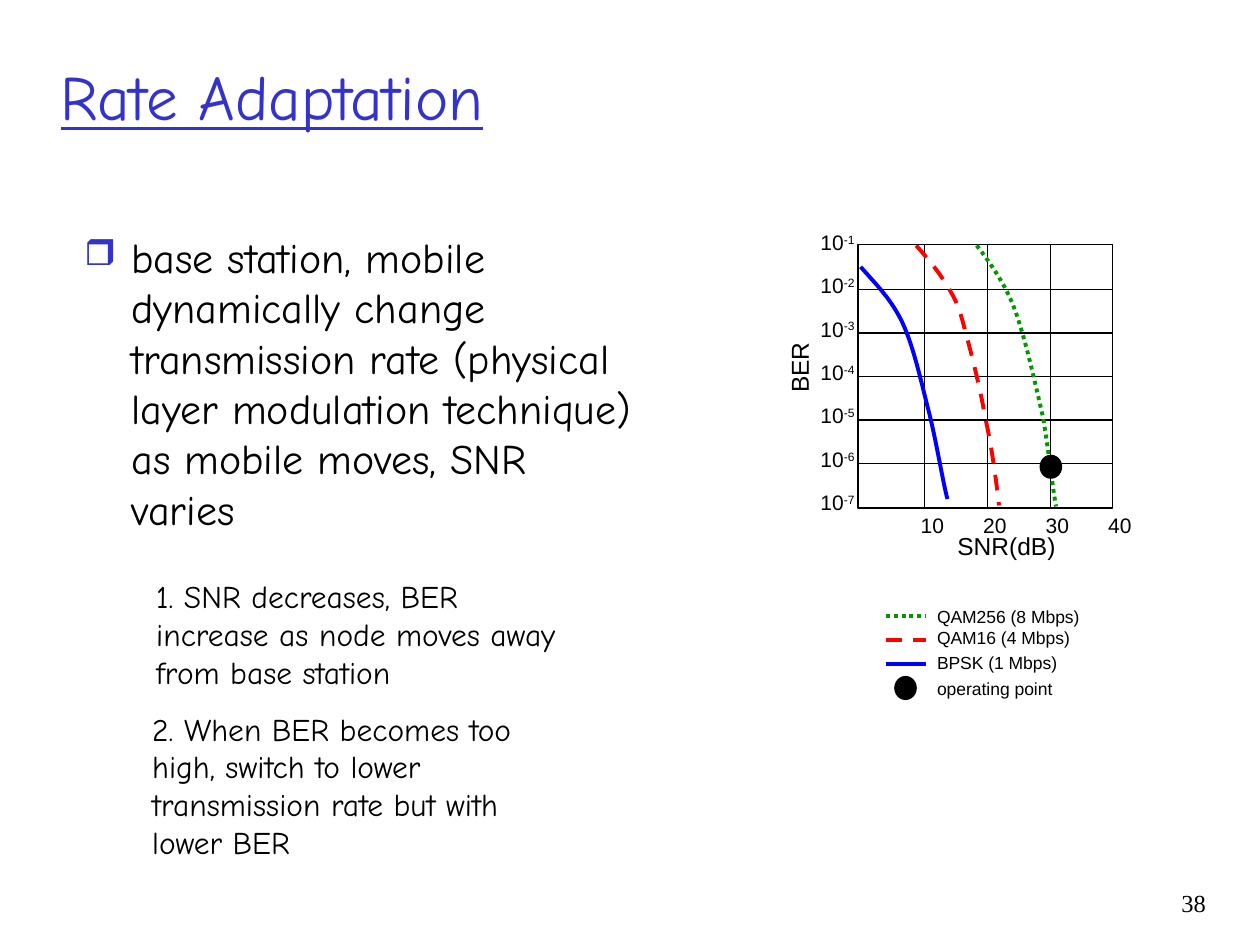
from dataclasses import dataclass

from lxml.etree import SubElement
from pptx import Presentation
from pptx.dml.color import RGBColor
from pptx.enum.dml import MSO_LINE
from pptx.enum.shapes import MSO_CONNECTOR, MSO_SHAPE
from pptx.enum.text import MSO_ANCHOR, MSO_AUTO_SIZE, PP_ALIGN
from pptx.oxml.ns import qn
from pptx.util import Cm, Pt


@dataclass(frozen=True)
class Theme:
    accent = RGBColor(0x33, 0x33, 0xCC)
    black = RGBColor(0, 0, 0)
    blue = RGBColor(0, 0, 0xFF)
    red = RGBColor(0xFF, 0, 0)
    green = RGBColor(0, 0x99, 0)
    hand = "Comic Neue"
    sans = "Arial"
    serif = "Times New Roman"
    title = 36
    body = 24
    note = 18
    axis = 14
    tick = 12
    legend = 10
    thin = 0.75
    thick = 2.25


THEME = Theme()

PLOT_LEFT, PLOT_TOP, PLOT_WIDTH, PLOT_HEIGHT = 17.3, 4.93, 5.13, 5.31
ROW_STEP, COLUMN_STEP = 0.875, 1.27
DOT_WIDTH, DOT_HEIGHT = 0.43, 0.46

SERIES = [
    ("QAM256 (8 Mbps)", THEME.green, MSO_LINE.ROUND_DOT, 12.42, 12.09,
     [(19.69, 4.95), (19.91, 5.23), (20.12, 5.54), (20.27, 5.82), (20.42, 6.12),
      (20.47, 6.25), (20.6, 6.68), (20.73, 7.11), (20.9, 7.85), (21.03, 8.43),
      (21.13, 9.02), (21.23, 9.91), (21.29, 10.21)]),
    ("QAM16 (4 Mbps)", THEME.red, MSO_LINE.DASH, 12.9, 12.52,
     [(18.47, 4.95), (18.72, 5.23), (18.95, 5.51), (19.13, 5.82), (19.3, 6.1),
      (19.35, 6.25), (19.46, 6.68), (19.58, 7.11), (19.76, 7.82), (19.86, 8.41),
      (19.99, 8.99), (20.07, 9.58), (20.14, 10.19)]),
    ("BPSK (1 Mbps)", THEME.blue, MSO_LINE.SOLID, 13.39, 13.02,
     [(17.35, 5.38), (17.65, 5.72), (17.96, 6.02), (18.19, 6.5), (18.42, 6.99),
      (18.57, 7.7), (18.72, 8.28), (18.87, 8.86), (19.02, 9.78), (19.1, 10.06)]),
]


def style_text(para, font_name, size, color=THEME.black):
    for span in para.runs:
        span.font.name = font_name
        span.font.size = Pt(size)
        span.font.color.rgb = color


def add_text(page, text, frame, font_name, size, wrap=False):
    box = page.shapes.add_textbox(*map(Cm, frame))
    box.text_frame.text = text
    box.text_frame.word_wrap = wrap
    style_text(box.text_frame.paragraphs[0], font_name, size)
    return box


def style_line(line, color, width, dash=MSO_LINE.SOLID):
    line.color.rgb = color
    line.width = Pt(width)
    line.dash_style = dash


def add_line(page, start, end, color, width, dash=MSO_LINE.SOLID):
    connector = page.shapes.add_connector(
        MSO_CONNECTOR.STRAIGHT, *map(Cm, start + end))
    style_line(connector.line, color, width, dash)
    SubElement(connector._element.spPr, qn("a:effectLst"))


def bend_segments(curve):
    segments = list(curve._element.iter(qn("a:lnTo")))
    outline = segments[0].getparent()
    for first in range(0, len(segments), 3):
        bend = SubElement(outline, qn("a:cubicBezTo"))
        for segment in segments[first:first + 3]:
            bend.append(segment[0])
            outline.remove(segment)


def add_curve(page, controls, color, dash):
    points = [(Cm(x), Cm(y)) for x, y in controls]
    builder = page.shapes.build_freeform(*points[0])
    builder.add_line_segments(points[1:], close=False)
    curve = builder.convert_to_shape()
    bend_segments(curve)
    curve.shadow.inherit = False
    curve.fill.background()
    style_line(curve.line, color, THEME.thick, dash)


def add_dot(page, left, top):
    dot = page.shapes.add_shape(
        MSO_SHAPE.OVAL, *map(Cm, (left, top, DOT_WIDTH, DOT_HEIGHT)))
    dot.shadow.inherit = False
    dot.fill.solid()
    dot.fill.fore_color.rgb = THEME.black
    style_line(dot.line, THEME.black, THEME.thin)


def add_title(page):
    title = page.shapes.title
    title.left, title.top, title.width, title.height = map(Cm, (0.97, 0.76, 21.59, 2.34))
    frame = title.text_frame
    frame.text = "Rate Adaptation"
    frame.auto_size = MSO_AUTO_SIZE.NONE
    frame.vertical_anchor = MSO_ANCHOR.MIDDLE
    para = frame.paragraphs[0]
    para.alignment = PP_ALIGN.LEFT
    style_text(para, THEME.hand, THEME.title, THEME.accent)
    para.runs[0].font.underline = True


def add_bullet(para):
    properties = para._p.get_or_add_pPr()
    properties.set("marL", str(Cm(0.95)))
    properties.set("indent", str(Cm(-0.95)))
    color = SubElement(properties, qn("a:buClr"))
    SubElement(color, qn("a:srgbClr")).set("val", str(THEME.accent))
    SubElement(properties, qn("a:buSzPct")).set("val", "85000")
    SubElement(properties, qn("a:buChar")).set("char", "❒")


def add_body(page):
    body = add_text(
        page,
        "base station, mobile dynamically change transmission rate "
        "(physical layer modulation technique) as mobile moves, SNR varies",
        (1.45, 4.54, 11.71, 12.9), THEME.hand, THEME.body, wrap=True)
    add_bullet(body.text_frame.paragraphs[0])
    add_text(page, "1. SNR decreases, BER increase as node moves away from base station",
             (2.9, 11.51, 8.89, 2.54), THEME.hand, THEME.note, wrap=True)
    add_text(page, "2. When BER becomes too high, switch to lower transmission rate "
                   "but with lower BER",
             (2.82, 14.18, 8.89, 3.3), THEME.hand, THEME.note, wrap=True)


def add_grid(page):
    border = page.shapes.add_shape(
        MSO_SHAPE.RECTANGLE, *map(Cm, (PLOT_LEFT, PLOT_TOP, PLOT_WIDTH, PLOT_HEIGHT)))
    border.shadow.inherit = False
    border.fill.background()
    style_line(border.line, THEME.black, THEME.thin)
    for row in range(5):
        y = 5.84 + row * ROW_STEP
        add_line(page, (PLOT_LEFT, y), (PLOT_LEFT + PLOT_WIDTH, y), THEME.black, THEME.thin)
    for column in range(3):
        x = 18.64 + column * COLUMN_STEP
        add_line(page, (x, PLOT_TOP), (x, PLOT_TOP + PLOT_HEIGHT), THEME.black, THEME.thin)


def add_axes(page):
    for column in range(4):
        add_text(page, str(10 * (column + 1)), (18.31 + column * 1.26, 10.21, 0.99, 0.76),
                 THEME.sans, THEME.tick)
    for row in range(7):
        label = add_text(page, "10", (16.29, 4.5 + row * ROW_STEP, 1.22, 0.76),
                         THEME.sans, THEME.tick)
        para = label.text_frame.paragraphs[0]
        exponent = para.add_run()
        exponent.text = f"-{row + 1}"
        style_text(para, THEME.sans, THEME.tick)
        exponent._r.get_or_add_rPr().set("baseline", "30000")
    add_text(page, "SNR(dB)", (19.05, 10.58, 2.49, 0.84), THEME.sans, THEME.axis)
    axis_name = add_text(page, "BER", (15.35, 6.99, 1.52, 0.84), THEME.sans, THEME.axis)
    axis_name.rotation = 270


def add_legend_label(page, text, top):
    add_text(page, text, (18.64, top, 3.6, 0.69), THEME.sans, THEME.legend)


def add_series(page):
    for name, color, dash, sample_y, label_top, controls in SERIES:
        add_curve(page, controls, color, dash)
        add_line(page, (17.86, sample_y), (18.67, sample_y), color, THEME.thick, dash)
        add_legend_label(page, name, label_top)
    add_dot(page, 20.97, 9.18)
    add_dot(page, 18.04, 13.64)
    add_legend_label(page, "operating point", 13.54)


def main():
    deck = Presentation()
    deck.slide_width, deck.slide_height = Cm(25.4), Cm(19.05)
    page = deck.slides.add_slide(deck.slide_layouts[5])
    add_title(page)
    add_body(page)
    add_grid(page)
    add_axes(page)
    add_series(page)
    number = add_text(page, "38", (22.68, 17.78, 1.88, 1.27), THEME.serif, THEME.axis)
    number.text_frame.word_wrap = True
    number.text_frame.paragraphs[0].alignment = PP_ALIGN.RIGHT
    deck.save("out.pptx")


if __name__ == "__main__":
    main()
